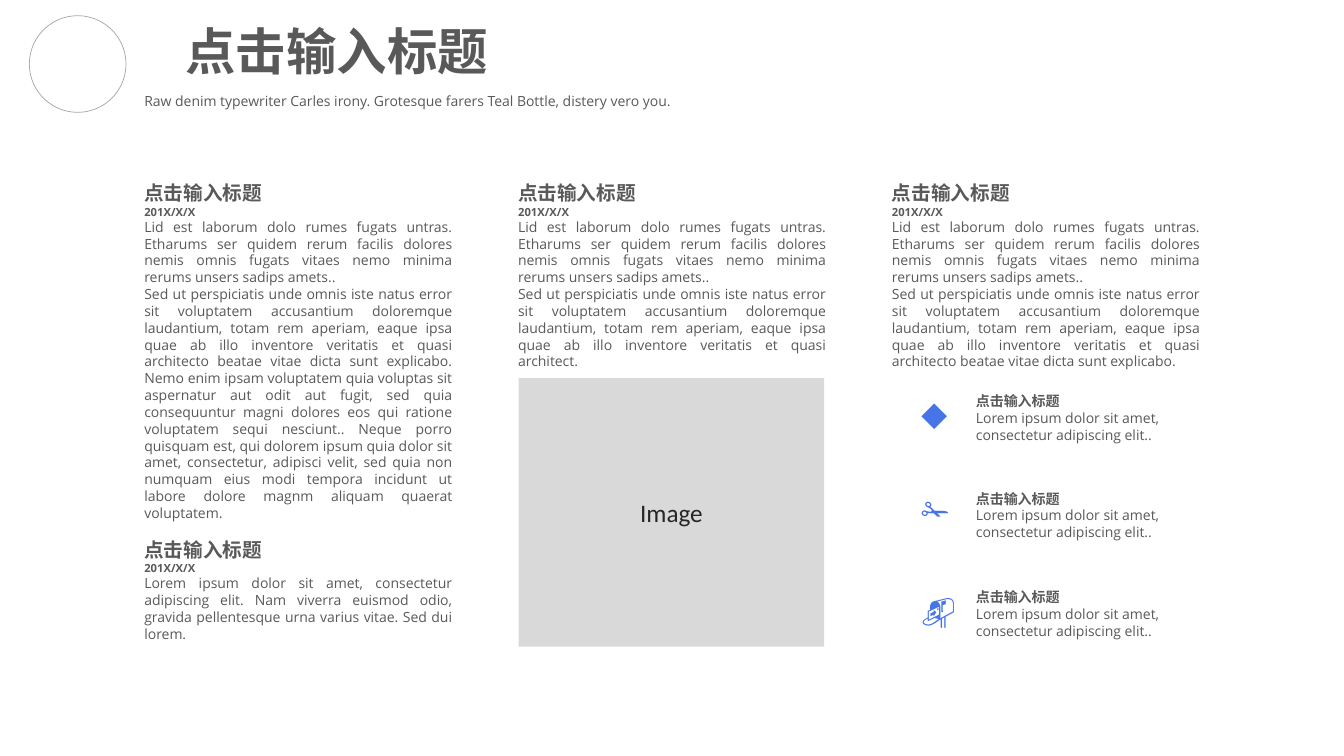
from dataclasses import dataclass

from pptx import Presentation
from pptx.dml.color import RGBColor
from pptx.enum.shapes import MSO_SHAPE
from pptx.enum.text import MSO_ANCHOR, MSO_AUTO_SIZE, PP_ALIGN
from pptx.shapes.autoshape import Shape
from pptx.slide import Slide
from pptx.text.text import TextFrame
from pptx.util import Emu, Pt

PX = 9525
BODY_FONT, SYMBOL_FONT = "Open Sans", "Calibri"
GREY = RGBColor(0x59, 0x59, 0x59)
DARK = RGBColor(0x26, 0x26, 0x26)
OUTLINE = RGBColor(0xA6, 0xA6, 0xA6)
IMAGE_FILL = RGBColor(0xD9, 0xD9, 0xD9)
BLUE = RGBColor(0x47, 0x75, 0xE7)

HEADING = "点击输入标题"
DATE = "201X/X/X"
INTRO = ("Lid est laborum dolo rumes fugats untras. Etharums ser quidem rerum "
         "facilis dolores nemis omnis fugats vitaes nemo minima rerums unsers "
         "sadips amets..")
SED = ("Sed ut perspiciatis unde omnis iste natus error sit voluptatem accusantium "
       "doloremque laudantium, totam rem aperiam, eaque ipsa quae ab illo "
       "inventore veritatis et quasi ")
SED_LONG = SED + "architecto beatae vitae dicta sunt explicabo."
NEMO = (" Nemo enim ipsam voluptatem quia voluptas sit aspernatur aut odit aut "
        "fugit, sed quia consequuntur magni dolores eos qui ratione voluptatem "
        "sequi nesciunt.. Neque porro quisquam est, qui dolorem ipsum quia dolor "
        "sit amet, consectetur, adipisci velit, sed quia non numquam eius modi "
        "tempora incidunt ut labore dolore magnm aliquam quaerat voluptatem.")
LOREM = ("Lorem ipsum dolor sit amet, consectetur adipiscing elit. Nam viverra "
         "euismod odio, gravida pellentesque urna varius vitae. Sed dui lorem.")
FEATURE = "Lorem ipsum dolor sit amet, consectetur adipiscing elit.."


@dataclass(frozen=True)
class Para:
    text: str
    size: int = 10
    bold: bool = False
    color: RGBColor = GREY
    font: str = BODY_FONT
    align: PP_ALIGN = PP_ALIGN.JUSTIFY
    before: int = 0


@dataclass(frozen=True)
class Column:
    height: int
    sections: list[list[str]]


COLUMNS = [
    Column(420, [[INTRO, SED_LONG + NEMO], [LOREM]]),
    Column(175, [[INTRO, SED + "architect."]]),
    Column(191, [[INTRO, SED_LONG]]),
]
ICONS = ["◆", "✁", "📬"]


def box(x: int, y: int, w: int, h: int) -> list[Emu]:
    return [Emu(v * PX) for v in (x, y, w, h)]


def write(tf: TextFrame, paras: list[Para]) -> None:
    for i, para in enumerate(paras):
        p = tf.add_paragraph() if i else tf.paragraphs[0]
        p.alignment = para.align
        if para.before:
            p.space_before = Pt(para.before)
        r = p.add_run()
        r.text = para.text
        r.font.name = para.font
        r.font.size = Pt(para.size)
        r.font.bold = para.bold
        r.font.color.rgb = para.color


def add_text(s: Slide, x: int, y: int, w: int, h: int, paras: list[Para],
             wrap: bool = True) -> None:
    tf = s.shapes.add_textbox(*box(x, y, w, h)).text_frame
    tf.word_wrap = wrap
    tf.auto_size = MSO_AUTO_SIZE.SHAPE_TO_FIT_TEXT
    write(tf, paras)


def add_plain_shape(s: Slide, kind: MSO_SHAPE, x: int, y: int, w: int, h: int) -> Shape:
    """Add a preset shape with no shadow, fill or line."""
    sp = s.shapes.add_shape(kind, *box(x, y, w, h))
    sp.shadow.inherit = False
    sp.fill.background()
    sp.line.fill.background()
    return sp


def add_header(s: Slide) -> None:
    circle = add_plain_shape(s, MSO_SHAPE.OVAL, 28, 15, 92, 92)
    circle.line.color.rgb = OUTLINE
    circle.line.width = Pt(0.5)

    title = s.shapes.title
    title.left, title.top, title.width, title.height = box(167, 14, 310, 68)
    tf = title.text_frame
    tf.word_wrap = False
    tf.auto_size = MSO_AUTO_SIZE.SHAPE_TO_FIT_TEXT
    tf.vertical_anchor = MSO_ANCHOR.TOP
    write(tf, [Para(HEADING, 36, True)])

    tagline = ("Raw denim typewriter Carles irony. Grotesque farers Teal Bottle, "
               "distery vero you.")
    add_text(s, 128, 83, 522, 26, [Para(tagline, align=PP_ALIGN.LEFT)], wrap=False)


def add_column(s: Slide, x: int, column: Column) -> None:
    paras = []
    for i, bodies in enumerate(column.sections):
        paras.append(Para(HEADING, 14, True, before=12 if i else 0))
        paras.append(Para(DATE, 8, True))
        paras += [Para(body) for body in bodies]
    add_text(s, x, 168, 312, column.height, paras)


def add_image_area(s: Slide) -> None:
    area = add_plain_shape(s, MSO_SHAPE.RECTANGLE, 494, 360, 291, 256)
    area.fill.solid()
    area.fill.fore_color.rgb = IMAGE_FILL
    area.text_frame.vertical_anchor = MSO_ANCHOR.MIDDLE
    write(area.text_frame, [Para("Image", 18, color=DARK, font=SYMBOL_FONT,
                                 align=PP_ALIGN.CENTER)])


def add_feature(s: Slide, y: int, icon: str) -> None:
    add_text(s, 868, y, 52, 48, [Para(icon, 24, color=BLUE, font=SYMBOL_FONT,
                                      align=PP_ALIGN.LEFT)])
    add_text(s, 920, y, 232, 59, [Para(HEADING, bold=True),
                                  Para(FEATURE, align=PP_ALIGN.LEFT)])


def main() -> None:
    prs = Presentation()
    prs.slide_width, prs.slide_height = Emu(1280 * PX), Emu(720 * PX)
    s = prs.slides.add_slide(prs.slide_layouts.get_by_name("Title Only"))
    add_header(s)
    for i, column in enumerate(COLUMNS):
        add_column(s, 128 + 356 * i, column)
    add_image_area(s)
    for i, icon in enumerate(ICONS):
        add_feature(s, 369 + 187 * i // 2, icon)
    prs.save("out.pptx")


if __name__ == "__main__":
    main()
